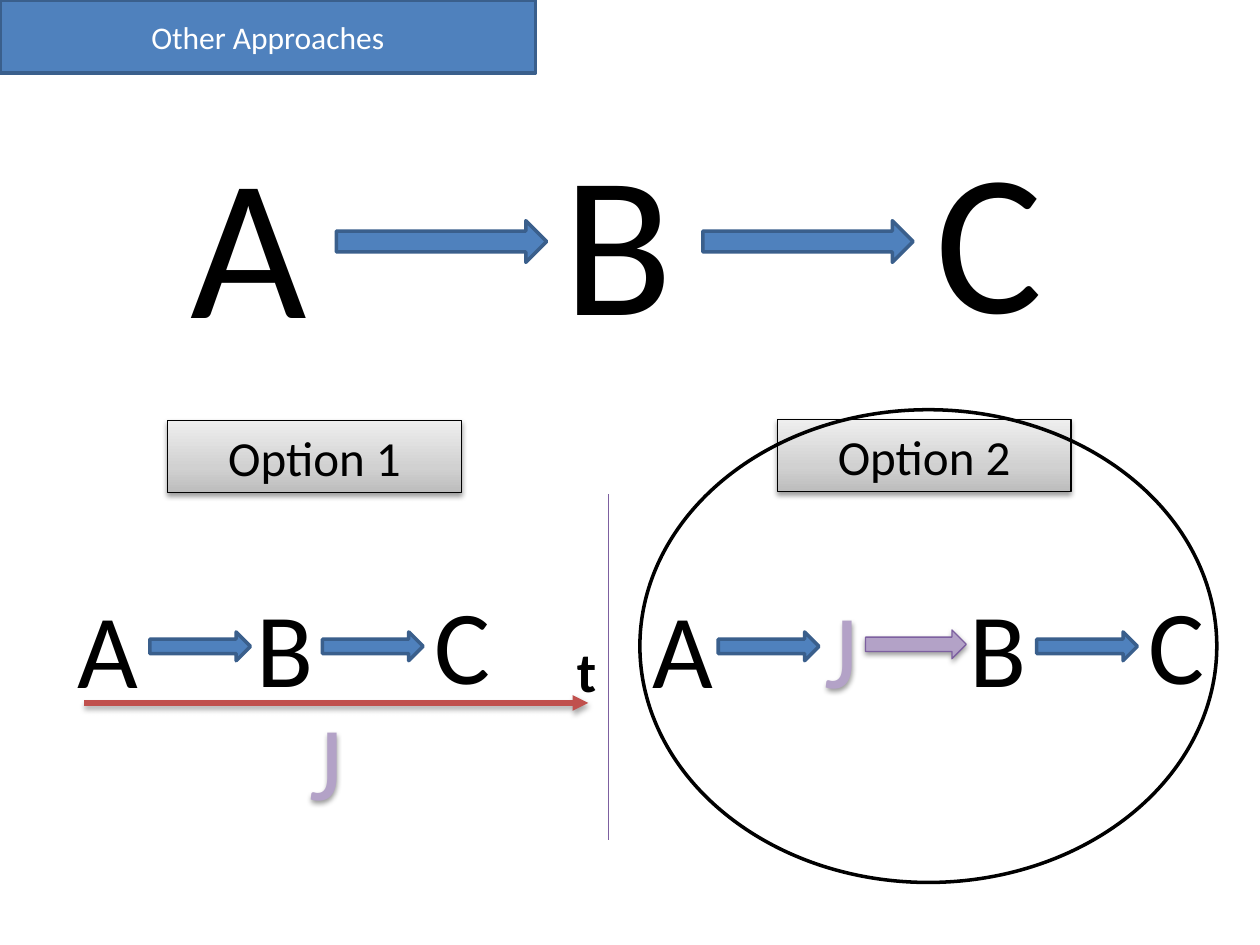
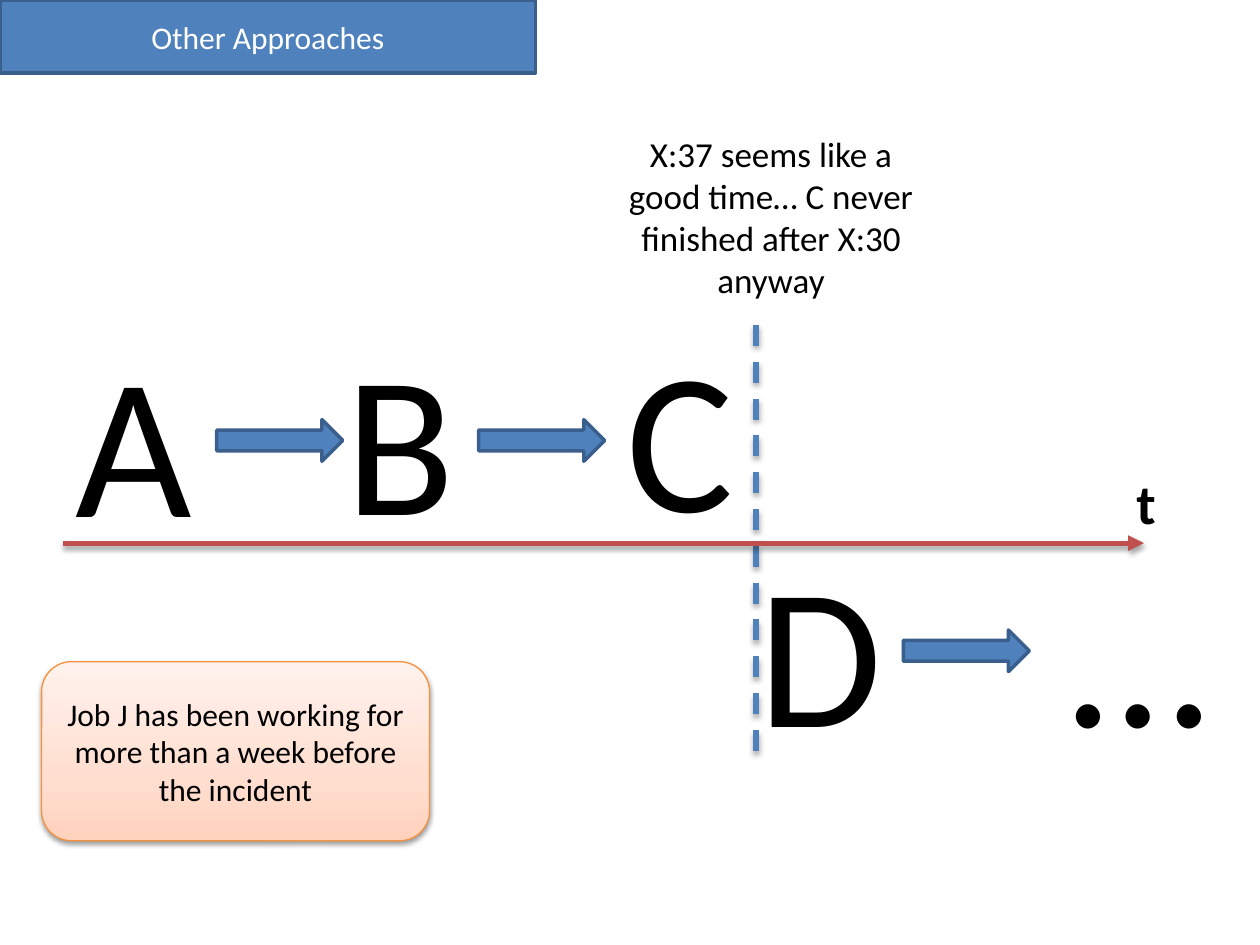
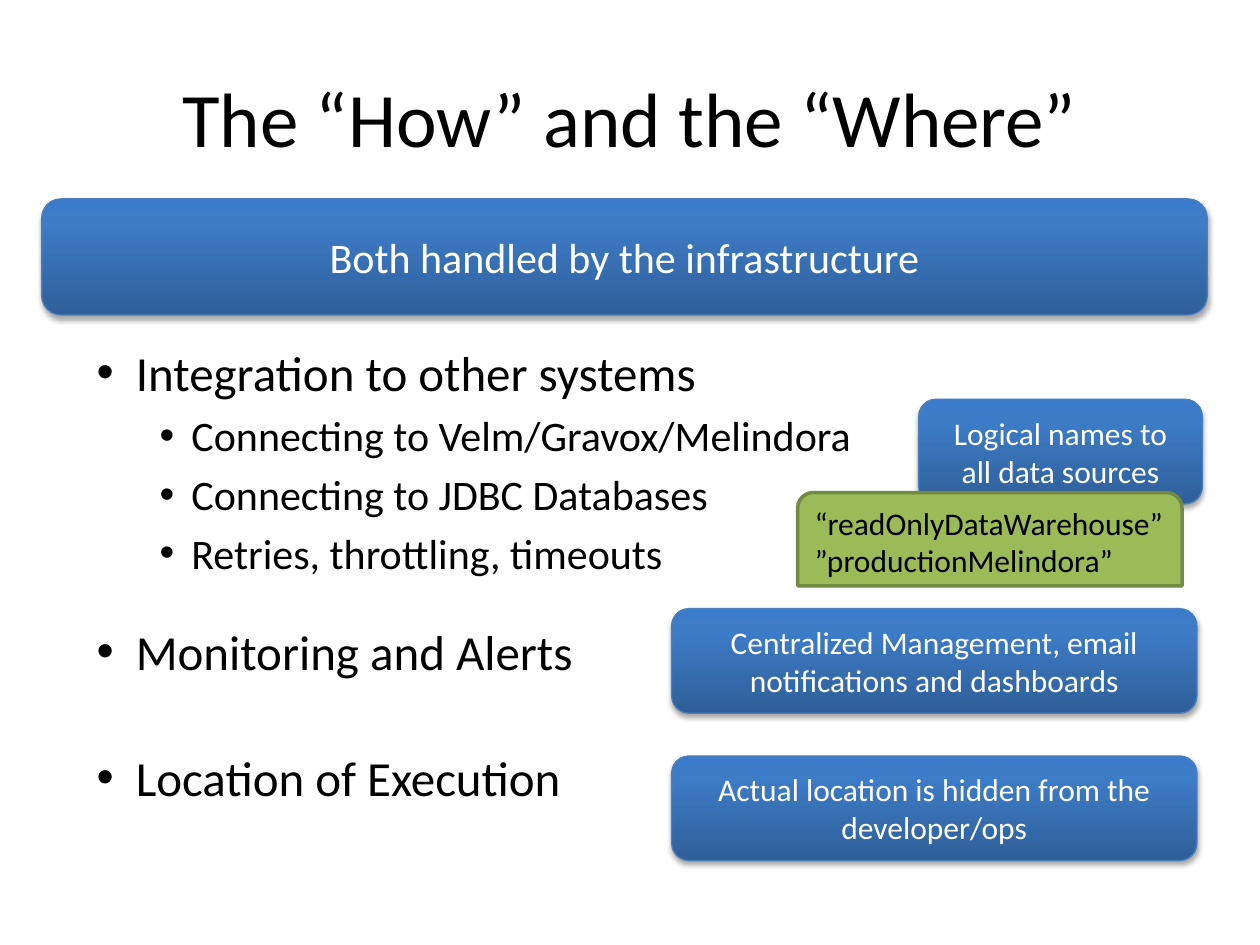
import pptx
import pptx.dml.color
import pptx.enum.dml
import pptx.enum.shapes
import pptx.enum.text
import pptx.oxml
import pptx.oxml.ns
import pptx.util

Cm = pptx.util.Cm
Pt = pptx.util.Pt
RGBColor = pptx.dml.color.RGBColor
KIND = pptx.enum.shapes.MSO_SHAPE
ALIGN = pptx.enum.text.PP_ALIGN
MIDDLE = pptx.enum.text.MSO_ANCHOR.MIDDLE

FONT = "Calibri"
BLACK = RGBColor(0x00, 0x00, 0x00)
WHITE = RGBColor(0xFF, 0xFF, 0xFF)
BLUE = RGBColor(0x4F, 0x81, 0xBD)
NAVY = RGBColor(0x3A, 0x5F, 0x8C)
STEEL = RGBColor(0x4B, 0x7E, 0xBC)
LILAC = RGBColor(0xB3, 0xA2, 0xC7)
PLUM = RGBColor(0x7D, 0x60, 0xA0)
RED = RGBColor(0xC0, 0x50, 0x4D)
AMBER = RGBColor(0xF6, 0x92, 0x40)
GREEN = RGBColor(0x9B, 0xBB, 0x59)
MOSS = RGBColor(0x73, 0x8A, 0x42)

GREYS = ((0, "BDBDBD"), (35, "D1D1D1"), (100, "EEEEEE"))
PEACH = ((0, "FFD2BD"), (35, "FFDED0"), (100, "FFF2ED"))
BLUES = ((0, "2F5F99"), (80, "3D7CC7"), (100, "3A7CCB"))

SOFT = (38, 1.6)
DEEP = (35, 1.8)
EMS = {"A": 0.58, "B": 0.55, "C": 0.54, "D": 0.62, "J": 0.32, "t": 0.36, "…": 0.7}
LEVELS = {1: (28, 2.06, -0.79), 2: (24, 3.18, -0.64)}


def node(xml):
    """Parse an XML fragment in the drawing namespace."""
    head, tail = xml.split(" ", 1)
    return pptx.oxml.parse_xml(f"{head} {pptx.oxml.ns.nsdecls('a')} {tail}")


def shade(shape, look):
    """Give a shape or connector a shadow, or none."""
    props = shape.element.spPr
    for old in props.findall(pptx.oxml.ns.qn("a:effectLst")):
        props.remove(old)
    inner = ""
    if look:
        alpha, gap = look
        inner = (f'<a:outerShdw blurRad="{Pt(3.1)}" dist="{Pt(gap)}" dir="5400000" '
                 f'rotWithShape="0"><a:srgbClr val="000000">'
                 f'<a:alpha val="{alpha * 1000}"/></a:srgbClr></a:outerShdw>')
    props.append(node(f"<a:effectLst >{inner}</a:effectLst>"))


def paint(shape, fill):
    """Fill a shape with a colour, a list of gradient stops, or nothing."""
    if fill is None:
        shape.fill.background()
    elif isinstance(fill, RGBColor):
        shape.fill.solid()
        shape.fill.fore_color.rgb = fill
    else:
        shape.fill.gradient()
        stops = "".join(f'<a:gs pos="{pos * 1000}"><a:srgbClr val="{tint}"/></a:gs>'
                        for pos, tint in fill)
        props = shape.element.spPr
        props.replace(props.find(pptx.oxml.ns.qn("a:gradFill")),
                      node(f'<a:gradFill rotWithShape="1"><a:gsLst>{stops}</a:gsLst>'
                           '<a:lin ang="16200000" scaled="0"/></a:gradFill>'))


def style(para, size, tint=BLACK, align=None, bold=None):
    """Set the font and alignment of a paragraph."""
    para.font.name = FONT
    para.font.size = Pt(size)
    para.font.color.rgb = tint
    para.font.bold = bold
    para.alignment = align


def box(slide, kind, place, fill, edge, width=0.75, look=None):
    """Draw a preset shape."""
    shape = slide.shapes.add_shape(kind, *map(Cm, place))
    paint(shape, fill)
    shape.line.color.rgb = edge
    shape.line.width = Pt(width)
    shade(shape, look)
    return shape


def label(shape, text, size, tint=BLACK, align=ALIGN.CENTER):
    """Write text in the middle of a shape."""
    frame = shape.text_frame
    frame.word_wrap = True
    frame.vertical_anchor = MIDDLE
    frame.text = text
    for para in frame.paragraphs:
        style(para, size, tint, align)


def words(slide, text, place, size, align=None):
    """Add a wrapping text box."""
    frame = slide.shapes.add_textbox(*map(Cm, place)).text_frame
    frame.word_wrap = True
    frame.text = text
    style(frame.paragraphs[0], size, align=align)
    return frame


def sign(slide, char, x, y, size, tint=BLACK, bold=None):
    """Add one large character in a box sized to fit it."""
    em = Pt(size).cm
    shape = slide.shapes.add_textbox(
        Cm(x), Cm(y), Cm(EMS[char] * em + 0.51), Cm(1.22 * em + 0.25))
    shape.text_frame.word_wrap = False
    shape.text_frame.text = char
    style(shape.text_frame.paragraphs[0], size, tint, bold=bold)
    return shape


def signs(slide, size, *spots):
    """Add several large characters of one size."""
    for char, x, y in spots:
        sign(slide, char, x, y, size)


def ghost(slide, x, y):
    """Add the shaded letter of the inserted job."""
    shade(sign(slide, "J", x, y, 60, LILAC), SOFT)


def arrows(slide, y, width, height, *lefts):
    """Add a row of blue block arrows."""
    for x in lefts:
        box(slide, KIND.RIGHT_ARROW, (x, y, width, height), BLUE, NAVY, 2)


def rule(slide, start, end, tint, width, look=None):
    """Draw a straight line."""
    line = slide.shapes.add_connector(
        pptx.enum.shapes.MSO_CONNECTOR.STRAIGHT, *map(Cm, start + end))
    line.line.color.rgb = tint
    line.line.width = Pt(width)
    shade(line, look)
    return line


def axis(slide, left, right, y):
    """Draw the red time arrow."""
    line = rule(slide, (left, y), (right, y), RED, 3, DEEP)
    line.element.spPr.find(pptx.oxml.ns.qn("a:ln")).append(
        node('<a:tailEnd type="triangle"/>'))


def banner(slide):
    """Draw the title band in the top left corner."""
    label(box(slide, KIND.RECTANGLE, (0, 0, 10.8, 1.47), BLUE, NAVY, 2),
          "Other Approaches", 18, WHITE)


def card(slide, text, place, size=18):
    """Draw a blue rounded box with white text."""
    label(box(slide, KIND.ROUNDED_RECTANGLE, place, BLUES, STEEL, look=DEEP),
          text, size, WHITE)


def points(slide, y, height, *items):
    """Add a bulleted list of level and text pairs."""
    frame = words(slide, "\n".join(text for _, text in items),
                  (0.43, y, 22.86, height), 28)
    for para, (level, _) in zip(frame.paragraphs, items):
        size, left, hang = LEVELS[level]
        style(para, size)
        para.space_before = Pt(size * 0.2)
        props = para._p.get_or_add_pPr()
        props.set("marL", str(Cm(left)))
        props.set("indent", str(Cm(hang)))
        mark = node('<a:buChar char="•"/>')
        props.find(pptx.oxml.ns.qn("a:defRPr")).addprevious(mark)
        mark.addprevious(node('<a:buFont typeface="Arial"/>'))


def options(slide):
    """Compare the two ways to add a job to the chain."""
    signs(slide, 115, ("A", 3.6, 2.24), ("B", 11.1, 2.18), ("C", 18.6, 2.13))
    arrows(slide, 4.45, 4.24, 0.84, 6.78, 14.17)
    signs(slide, 60, ("A", 1.32, 11.63), ("B", 4.93, 11.61), ("C", 8.51, 11.56),
          ("A", 12.9, 11.63), ("B", 19.3, 11.61), ("C", 22.91, 11.56))
    arrows(slide, 12.74, 2.03, 0.58, 3.02, 6.5, 14.48, 20.9)
    ghost(slide, 5.99, 13.89)
    ghost(slide, 16.38, 11.63)
    rule(slide, (12.27, 9.96), (12.27, 16.94), PLUM, 0.75)
    box(slide, KIND.RIGHT_ARROW, (17.45, 12.7, 2.03, 0.58), LILAC, PLUM, look=SOFT)
    axis(slide, 1.7, 11.86, 14.17)
    sign(slide, "t", 11.38, 12.7, 32, bold=True)
    for text, x, y in (("Option 1", 3.38, 8.48), ("Option 2", 15.67, 8.46)):
        label(box(slide, KIND.RECTANGLE, (x, y, 5.92, 1.45), GREYS, BLACK, look=SOFT),
              text, 28)
    box(slide, KIND.OVAL, (12.9, 8.26, 11.63, 9.53), None, BLACK, 2)
    banner(slide)


def timing(slide):
    """Show the chain on a time axis with a cut-off."""
    signs(slide, 115, ("A", 1.27, 6.25), ("B", 6.71, 6.2), ("C", 12.37, 6.15),
          ("D", 15.04, 10.49))
    arrows(slide, 8.46, 2.54, 0.84, 4.37, 9.65)
    arrows(slide, 12.7, 2.54, 0.84, 18.21)
    cut = rule(slide, (15.24, 6.55), (15.24, 15.44), BLUE, 3, DEEP)
    cut.line.dash_style = pptx.enum.dml.MSO_LINE.DASH
    sign(slide, "…", 21.31, 10.49, 115)
    words(slide, "X:37 seems like a good time… C never finished after X:30 anyway",
          (12.27, 2.54, 6.55, 3.68), 20, ALIGN.CENTER)
    axis(slide, 1.27, 23.06, 10.95)
    sign(slide, "t", 22.66, 9.32, 32, bold=True)
    label(box(slide, KIND.ROUNDED_RECTANGLE, (0.84, 13.34, 7.82, 3.61), PEACH, AMBER,
              look=SOFT),
          "Job J has been working for more than a week before the incident", 18)
    banner(slide)


def infra(slide):
    """List what the infrastructure takes care of."""
    title = words(slide, "The “How” and the “Where”", (1.27, 0.76, 22.86, 3.18), 44,
                  ALIGN.CENTER)
    title.vertical_anchor = MIDDLE
    points(slide, 6.78, 5.59, (1, "Integration to other systems"),
           (2, "Connecting to Velm/Gravox/Melindora"),
           (2, "Connecting to JDBC Databases"),
           (2, "Retries, throttling, timeouts"))
    card(slide, "Both handled by the infrastructure", (0.84, 4.01, 23.5, 2.34), 24)
    card(slide, "Logical names to all data sources", (18.52, 8.05, 5.72, 2.11))
    card(slide, "Centralized Management, email notifications and dashboards",
         (13.54, 12.27, 10.59, 2.11))
    points(slide, 12.4, 2.21, (1, "Monitoring and Alerts"))
    points(slide, 14.94, 2.21, (1, "Location of Execution"))
    card(slide, "Actual location is hidden from the developer/ops",
         (13.54, 15.24, 10.59, 2.11))
    names = box(slide, KIND.ROUND_2_SAME_RECTANGLE, (16.08, 9.93, 7.75, 1.88),
                GREEN, MOSS, 2)
    label(names, "“readOnlyDataWarehouse”\n”productionMelindora”", 18,
          align=ALIGN.LEFT)
    names.text_frame.word_wrap = False


def main():
    """Build the deck."""
    deck = pptx.Presentation()
    deck.slide_width, deck.slide_height = Cm(25.4), Cm(19.05)
    for draw in (options, timing, infra):
        draw(deck.slides.add_slide(deck.slide_layouts[6]))
    deck.save("out.pptx")


if __name__ == "__main__":
    main()
